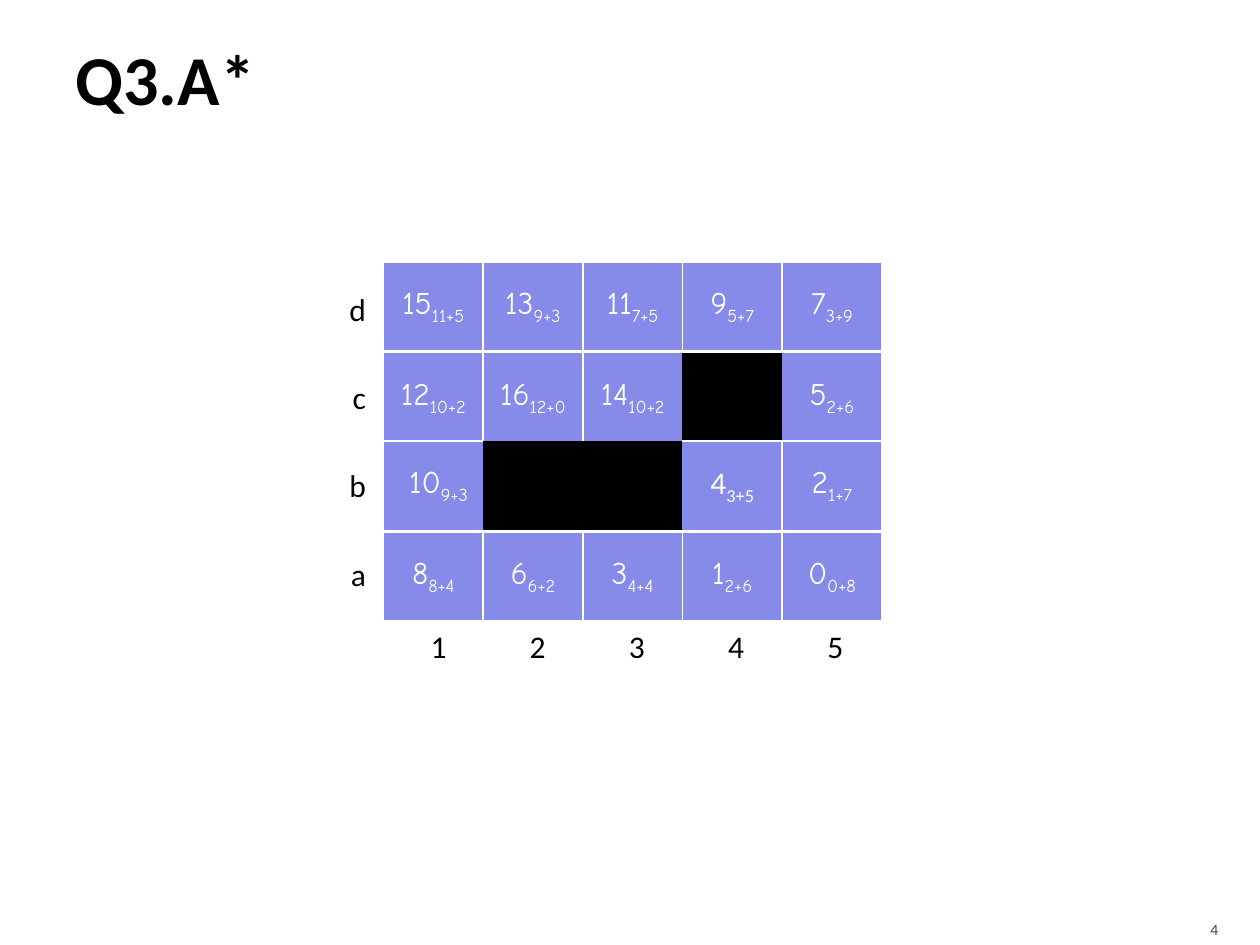
from lxml.etree import SubElement
from pptx import Presentation
from pptx.dml.color import RGBColor
from pptx.enum.text import MSO_ANCHOR as Anchor, PP_ALIGN as Align
from pptx.oxml.ns import qn
from pptx.util import Cm, Pt

CELL_WIDTH, CELL_HEIGHT = 2.01, 1.8
GRID_LEFT = 7.73
LABEL_WIDTH, LABEL_HEIGHT = 0.85, 1.02
LABEL_TOP, LABEL_STEP = 5.72, 1.78
CELL_FILL, WALL_FILL, WHITE, BLACK = "868BE9", "000000", "FFFFFF", "000000"
CELL_FONT, LABEL_FONT = "Comic Neue", "Calibri"
CALIBRI_CELLS = {("b", 3)}

GRID = {
    "d": (5.28, [("15", "11+5"), ("13", "9+3"), ("11", "7+5"), ("9", "5+7"), ("7", "3+9")]),
    "c": (7.11, [("12", "10+2"), ("16", "12+0"), ("14", "10+2"), None, ("5", "2+6")]),
    "b": (8.89, [(" 10", "9+3"), None, None, ("4", "3+5"), ("2", "1+7")]),
    "a": (10.72, [("8", "8+4"), ("6", "6+2"), ("3", "4+4"), ("1", "2+6"), ("0", "0+8")]),
}


def color(value):
    return RGBColor.from_string(value)


def apply_format(target, values):
    for name, value in values.items():
        setattr(target, name, value)


def add_span(para, text, size, font, fill, bold=False):
    span = para.add_run()
    span.text = text
    apply_format(span.font, {"size": Pt(size), "name": font, "bold": bold})
    span.font.color.rgb = color(fill)
    return span


def add_label(page, place, text, size=18, fill=BLACK, bold=False,
              align=Align.LEFT, frame_format=None):
    box = page.shapes.add_textbox(*map(Cm, place))
    apply_format(box.text_frame, {"word_wrap": False, **(frame_format or {})})
    para = box.text_frame.paragraphs[0]
    para.alignment = align
    add_span(para, text, size, LABEL_FONT, fill, bold)


def add_border(cell, side, visible):
    line = SubElement(cell._tc.get_or_add_tcPr(), qn(f"a:ln{side}"), w=str(Pt(1)))
    if visible:
        fill = SubElement(line, qn("a:solidFill"))
        SubElement(fill, qn("a:srgbClr"), val=WHITE)
    else:
        SubElement(line, qn("a:noFill"))


def fill_cell(cell, scores, font, open_sides):
    apply_format(cell, {
        "vertical_anchor": Anchor.MIDDLE, "margin_left": 0, "margin_right": 0,
        "margin_top": Cm(0.13), "margin_bottom": Cm(0.13),
    })
    for side in "LRTB":
        add_border(cell, side, side in open_sides)
    cell.fill.solid()
    cell.fill.fore_color.rgb = color(CELL_FILL if scores else WALL_FILL)
    if scores:
        order, cost = scores
        para = cell.text_frame.paragraphs[0]
        para.alignment = Align.CENTER
        add_span(para, order, 18, font, WHITE)
        subscript = add_span(para, cost, 18, font, WHITE)
        subscript._r.get_or_add_rPr().set("baseline", "-25000")


def find_open_sides(row, index):
    if row[index] is None:
        return ""
    left = index == 0 or row[index - 1] is not None
    right = index == len(row) - 1 or row[index + 1] is not None
    return "TB" + "L" * left + "R" * right


def add_grid_row(page, name, top, row):
    frame = page.shapes.add_table(
        1, len(row), Cm(GRID_LEFT), Cm(top), Cm(CELL_WIDTH * len(row)), Cm(CELL_HEIGHT))
    table = frame.table
    apply_format(table, {"first_row": False, "horz_banding": False})
    for index, scores in enumerate(row):
        table.columns[index].width = Cm(CELL_WIDTH)
        font = LABEL_FONT if (name, index) in CALIBRI_CELLS else CELL_FONT
        fill_cell(table.cell(0, index), scores, font, find_open_sides(row, index))


def main():
    deck = Presentation()
    apply_format(deck, {"slide_width": Cm(25.4), "slide_height": Cm(19.05)})
    page = deck.slides.add_slide(deck.slide_layouts[6])

    add_label(page, (1.27, 0.2, 22.86, 2.74), "Q3.A*", 40, bold=True,
              frame_format={"vertical_anchor": Anchor.MIDDLE, "word_wrap": True})
    add_label(page, (22.78, 18.29, 2.03, 0.76), "4", 9, "454545", align=Align.RIGHT,
              frame_format={"vertical_anchor": Anchor.MIDDLE, "word_wrap": True,
                            "margin_bottom": 0})

    for index, (name, (top, row)) in enumerate(GRID.items()):
        add_grid_row(page, name, top, row)
        place = (6.78, LABEL_TOP + index * LABEL_STEP, LABEL_WIDTH, LABEL_HEIGHT)
        add_label(page, place, name, align=Align.RIGHT)

    for index in range(5):
        place = (8.43 + index * 2, 12.52, LABEL_WIDTH, LABEL_HEIGHT)
        add_label(page, place, str(index + 1))

    deck.save("out.pptx")


if __name__ == "__main__":
    main()
